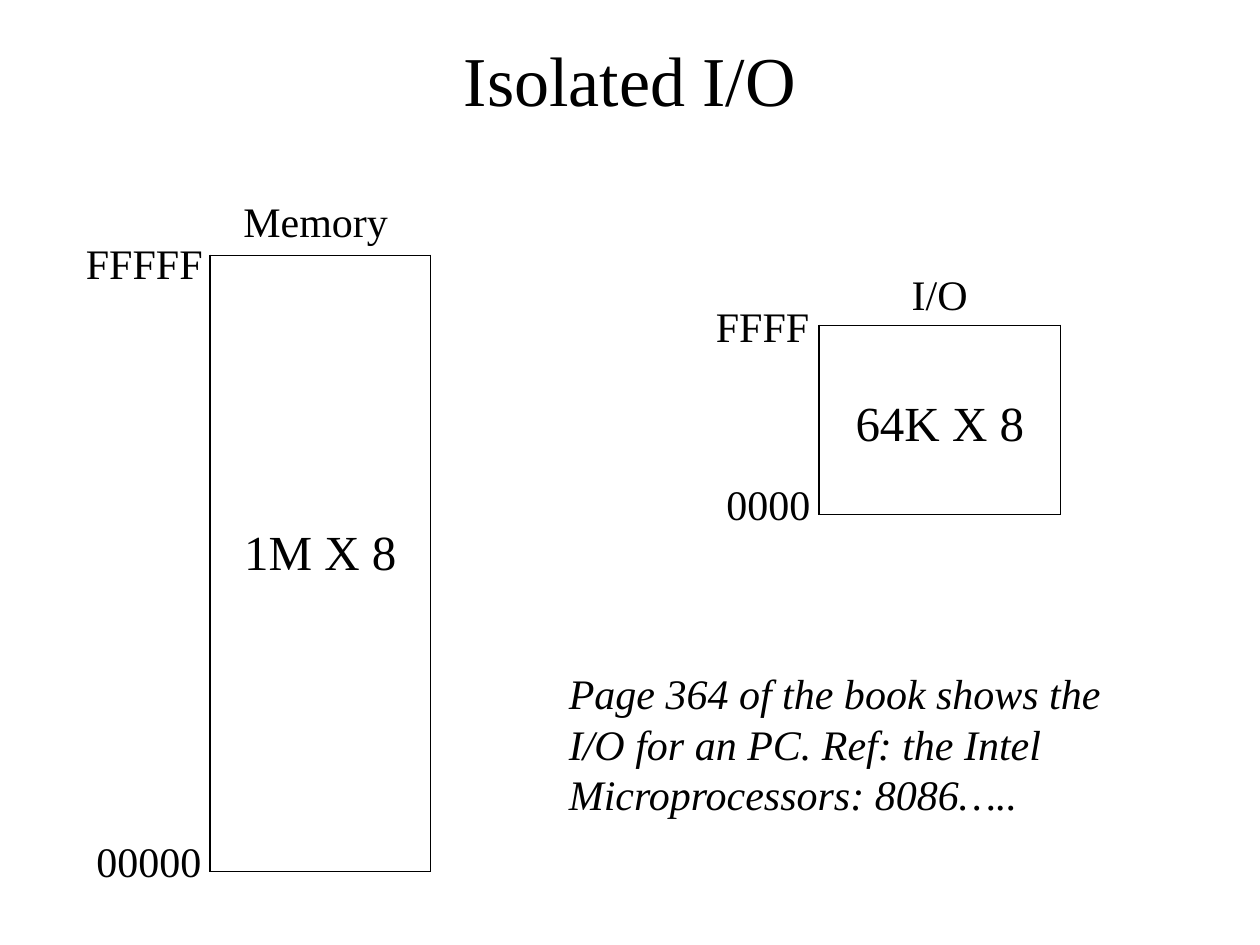
from dataclasses import dataclass

from lxml import etree
from pptx import Presentation
from pptx.dml.color import RGBColor
from pptx.enum.text import MSO_ANCHOR, MSO_AUTO_SIZE, PP_ALIGN
from pptx.oxml.ns import qn
from pptx.util import Pt


@dataclass(frozen=True)
class Theme:
    font: str = "Times New Roman"
    ink: RGBColor = RGBColor(0, 0, 0)
    title: int = 40
    cell: int = 28
    label: int = 24
    leading: float = 28.8
    border: float = 1.08


theme = Theme()


def style(para, size, align=PP_ALIGN.LEFT, italic=False):
    para.alignment = align
    para.font.name = theme.font
    para.font.size = Pt(size)
    para.font.italic = italic
    para.font.color.rgb = theme.ink


deck = Presentation()
deck.slide_width, deck.slide_height = Pt(720), Pt(540)
page = deck.slides.add_slide(deck.slide_layouts[5])

# Title
title = page.shapes.title
title.left, title.top, title.width, title.height = Pt(54), Pt(0), Pt(612), Pt(90)
title.text_frame.text = "Isolated I/O"
title.text_frame.vertical_anchor = MSO_ANCHOR.MIDDLE
style(title.text_frame.paragraphs[0], theme.title, PP_ALIGN.CENTER)

# Address spaces as one-cell tables: text, left, top, width, height, space above text
address_spaces = [
    ("1M X 8", 120, 146, 126, 352, 155),
    ("64K X 8", 468, 186, 138, 108, 41.5),
]
for text, left, top, width, height, inset in address_spaces:
    frame = page.shapes.add_table(1, 1, Pt(left), Pt(top), Pt(width), Pt(height))
    cell = frame.table.cell(0, 0)
    cell.text = text
    cell.margin_top = Pt(inset)
    style(cell.text_frame.paragraphs[0], theme.cell, PP_ALIGN.CENTER)

    # Borders come before the fill in the cell properties
    properties = cell._tc.get_or_add_tcPr()
    for side in ("a:lnL", "a:lnR", "a:lnT", "a:lnB"):
        line = etree.SubElement(properties, qn(side), w=str(Pt(theme.border)))
        fill = etree.SubElement(line, qn("a:solidFill"))
        etree.SubElement(fill, qn("a:srgbClr"), val=str(theme.ink))
    cell.fill.background()

# Labels and note: text, left, top, width, height, alignment, italic
labels = [
    ("FFFFF", 42, 132, 120, 36, PP_ALIGN.LEFT, False),
    ("00000", 48, 474, 120, 36, PP_ALIGN.LEFT, False),
    ("Memory", 132, 108, 114, 36, PP_ALIGN.LEFT, False),
    ("0000", 408, 270, 120, 36, PP_ALIGN.LEFT, False),
    ("FFFF", 402, 168, 120, 36, PP_ALIGN.LEFT, False),
    ("I/O", 480, 150, 114, 36, PP_ALIGN.CENTER, False),
    ("Page 364 of the book shows the I/O for an PC. "
     "Ref: the Intel Microprocessors: 8086…..",
     318, 378, 354, 93.6, PP_ALIGN.LEFT, True),
]
for text, left, top, width, height, align, italic in labels:
    box = page.shapes.add_textbox(Pt(left), Pt(top), Pt(width), Pt(height))
    box.text_frame.word_wrap = True
    box.text_frame.auto_size = MSO_AUTO_SIZE.SHAPE_TO_FIT_TEXT
    para = box.text_frame.paragraphs[0]
    para.text = text
    para.line_spacing = Pt(theme.leading)
    style(para, theme.label, align, italic)

deck.save("out.pptx")
